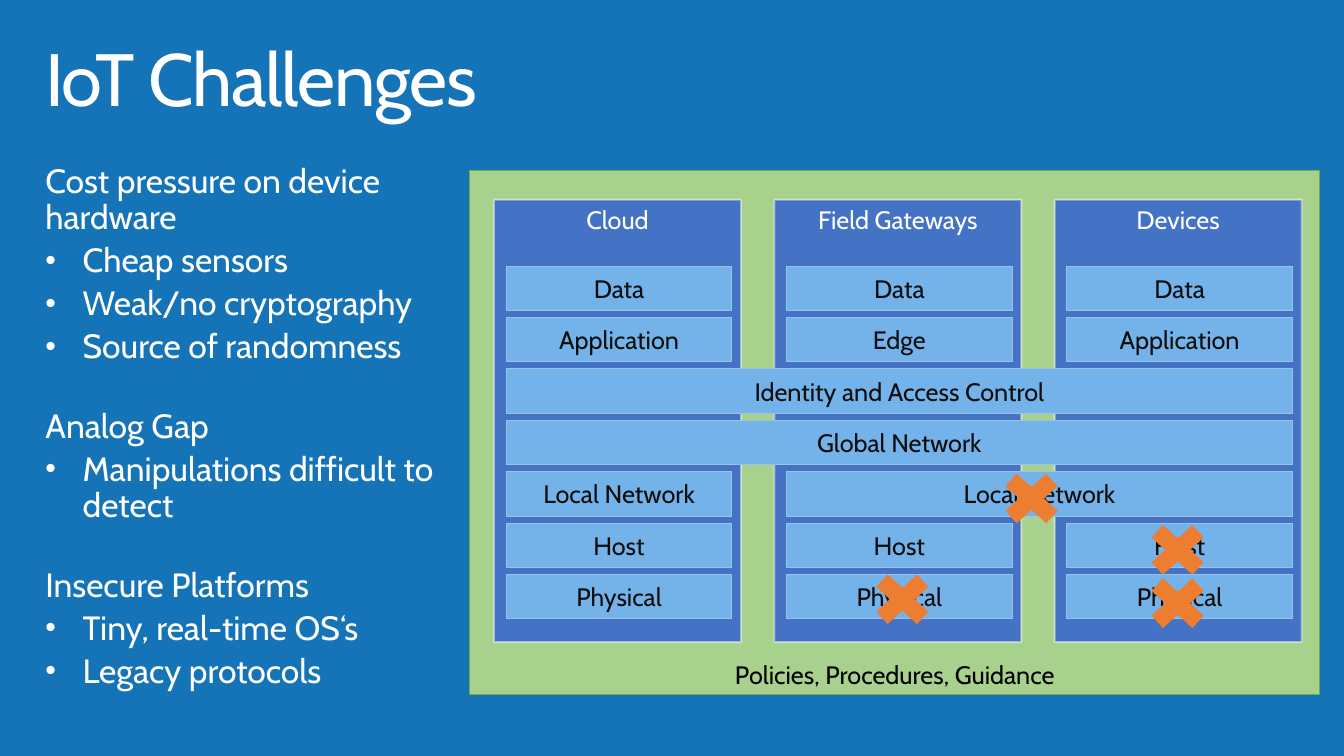
from dataclasses import dataclass

from lxml.etree import SubElement
from pptx import Presentation
from pptx.dml.color import RGBColor
from pptx.enum.shapes import MSO_SHAPE as Preset
from pptx.enum.text import MSO_ANCHOR as Anchor, MSO_AUTO_SIZE as AutoSize, PP_ALIGN as Align
from pptx.oxml.ns import qn
from pptx.util import Pt

EMU_PER_PX = 9144  # 100 px to the inch
FONT = "Cabin"
WHITE, BLACK, INK = "FFFFFF", "000000", "0D0D0D"
BACKGROUND, ORANGE = "1574B8", "ED7D31"

# Grid of the architecture diagram
COLUMN_LEFT, COLUMN_TOP, COLUMN_STEP = 490, 198, 278
COLUMN_WIDTH, COLUMN_HEIGHT = 245, 439
LAYER_LEFT, LAYER_TOP, LAYER_STEP = 502, 264, 51
LAYER_WIDTH, LAYER_HEIGHT = 224, 44
CROSS_WIDTH, CROSS_HEIGHT = 78, 71


@dataclass(frozen=True)
class Style:
    fill: str
    line: str | None = None
    line_width: float = 0.75
    line_alpha: int = 100


@dataclass(frozen=True)
class Layer:
    label: str
    row: int
    column: int
    span: int = 1


@dataclass(frozen=True)
class Topic:
    heading: str
    points: tuple[str, ...]


PANEL = Style("A9D18E", "70AD47")
COLUMN = Style("4472C4", "F9F9F9", 1.35, 50)
LAYER = Style("73B3EA", "9CC3E5")
CROSS = Style(ORANGE)

COLUMNS = ("Cloud", "Field Gateways", "Devices")
LAYERS = (
    Layer("Data", 0, 0), Layer("Data", 0, 1), Layer("Data", 0, 2),
    Layer("Application", 1, 0), Layer("Edge", 1, 1), Layer("Application", 1, 2),
    Layer("Identity and Access Control", 2, 0, 3),
    Layer("Global Network", 3, 0, 3),
    Layer("Local Network", 4, 0), Layer("Local Network", 4, 1, 2),
    Layer("Host", 5, 0), Layer("Host", 5, 1), Layer("Host", 5, 2),
    Layer("Physical", 6, 0), Layer("Physical", 6, 1), Layer("Physical", 6, 2),
)
WEAK_SPOTS = ((856, 559), (1129, 563), (1129, 510), (984, 459))
TOPICS = (
    Topic("Cost pressure on device hardware",
          ("Cheap sensors", "Weak/no cryptography", "Source of randomness")),
    Topic("Analog Gap", ("Manipulations difficult to detect",)),
    Topic("Insecure Platforms", ("Tiny, real-time OS‘s", "Legacy protocols")),
)


def px(length: int) -> int:
    return length * EMU_PER_PX


def color(hex_code: str) -> RGBColor:
    return RGBColor.from_string(hex_code)


def write(paragraph, text: str, *, size: float = 18, ink: str = INK,
          align: Align = Align.CENTER, line_spacing: float = 1.0,
          before: float = 0, tracking: int = 0, bullet: bool = False) -> None:
    paragraph.alignment = align
    paragraph.line_spacing = line_spacing
    paragraph.space_before = Pt(before)
    run = paragraph.add_run()
    run.text = text
    run.font.name = FONT
    run.font.size = Pt(size)
    run.font.color.rgb = color(ink)
    if tracking:
        run.font._element.set("spc", str(tracking))
    if bullet:
        properties = paragraph._p.get_or_add_pPr()
        properties.set("marL", str(px(37)))
        properties.set("indent", str(px(-37)))
        SubElement(properties, qn("a:buSzPct")).set("val", "90000")
        SubElement(properties, qn("a:buFont")).set("typeface", "Arial")
        SubElement(properties, qn("a:buChar")).set("char", "•")


def set_frame(frame) -> None:
    frame.word_wrap = True
    frame.auto_size = AutoSize.NONE
    frame.vertical_anchor = Anchor.TOP
    frame.margin_left = frame.margin_right = px(16)
    frame.margin_top = frame.margin_bottom = px(10)


def add_block(slide, preset: Preset, left: int, top: int, width: int, height: int,
              style: Style, text: str = "", ink: str = INK,
              anchor: Anchor = Anchor.MIDDLE) -> None:
    block = slide.shapes.add_shape(preset, px(left), px(top), px(width), px(height))
    block.shadow.inherit = False
    block.fill.solid()
    block.fill.fore_color.rgb = color(style.fill)
    if style.line:
        block.line.color.rgb = color(style.line)
        block.line.width = Pt(style.line_width)
        if style.line_alpha < 100:
            tint = block.line._ln.find(".//" + qn("a:srgbClr"))
            SubElement(tint, qn("a:alpha")).set("val", str(style.line_alpha * 1000))
    else:
        block.line.fill.background()
    if text:
        block.text_frame.word_wrap = True
        block.text_frame.vertical_anchor = anchor
        write(block.text_frame.paragraphs[0], text, ink=ink)


def add_title(slide) -> None:
    title = slide.shapes.title
    title.left, title.top, title.width, title.height = px(29), px(32), px(1262), px(98)
    set_frame(title.text_frame)
    write(title.text_frame.paragraphs[0], "IoT Challenges", size=52.9, ink=WHITE,
          align=Align.LEFT, line_spacing=0.9, tracking=-100)


def add_topics(slide) -> None:
    frame = slide.shapes.add_textbox(px(29), px(153), px(444), px(553)).text_frame
    set_frame(frame)
    for topic_number, topic in enumerate(TOPICS):
        first = topic_number == 0
        heading = frame.paragraphs[0] if first else frame.add_paragraph()
        write(heading, topic.heading, size=24, ink=WHITE, align=Align.LEFT,
              line_spacing=0.9, before=0 if first else 31)
        for point in topic.points:
            write(frame.add_paragraph(), point, size=24, ink=WHITE, align=Align.LEFT,
                  line_spacing=0.9, before=4.8, bullet=True)


def add_architecture(slide) -> None:
    # Governance panel behind everything
    add_block(slide, Preset.FLOWCHART_PROCESS, 466, 169, 843, 520, PANEL,
              "Policies, Procedures, Guidance", BLACK, Anchor.BOTTOM)
    # Columns
    for number, name in enumerate(COLUMNS):
        add_block(slide, Preset.FLOWCHART_PROCESS, COLUMN_LEFT + number * COLUMN_STEP,
                  COLUMN_TOP, COLUMN_WIDTH, COLUMN_HEIGHT, COLUMN, name, WHITE, Anchor.TOP)
    # Layers, some of them spanning several columns
    for layer in LAYERS:
        add_block(slide, Preset.RECTANGLE, LAYER_LEFT + layer.column * COLUMN_STEP,
                  LAYER_TOP + layer.row * LAYER_STEP,
                  LAYER_WIDTH + (layer.span - 1) * COLUMN_STEP, LAYER_HEIGHT,
                  LAYER, layer.label)
    # Crosses on the weak layers
    for left, top in WEAK_SPOTS:
        add_block(slide, Preset.MATH_MULTIPLY, left, top, CROSS_WIDTH, CROSS_HEIGHT, CROSS)


def main() -> None:
    deck = Presentation()
    deck.slide_width, deck.slide_height = px(1333), px(750)
    slide = deck.slides.add_slide(deck.slide_layouts.get_by_name("Title Only"))
    slide.background.fill.solid()
    slide.background.fill.fore_color.rgb = color(BACKGROUND)
    add_title(slide)
    add_topics(slide)
    add_architecture(slide)
    deck.save("out.pptx")


if __name__ == "__main__":
    main()
